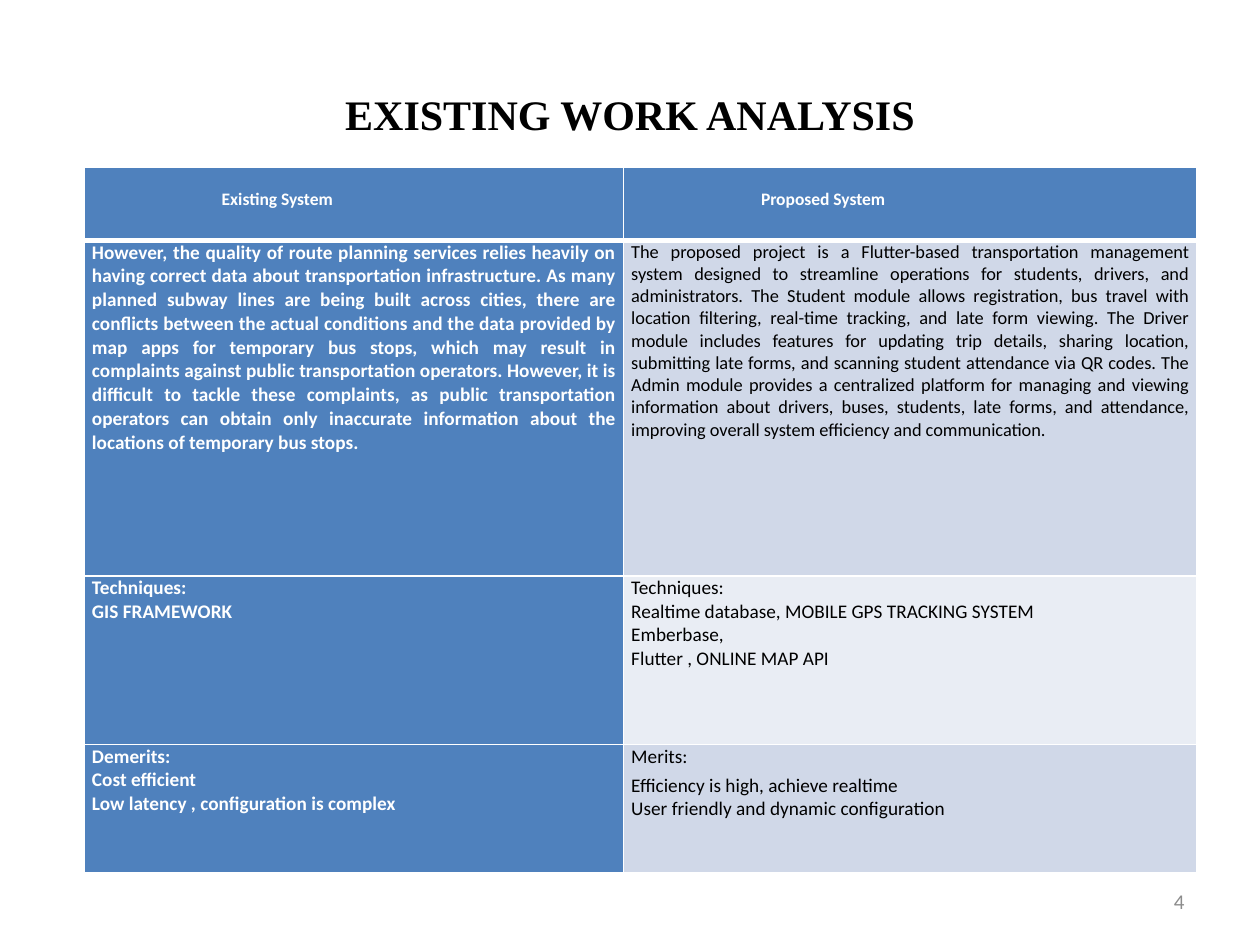
from lxml import etree
from pptx import Presentation
from pptx.dml.color import RGBColor
from pptx.enum.text import MSO_ANCHOR, PP_ALIGN
from pptx.oxml.ns import qn
from pptx.util import Inches, Pt

CENTER, JUSTIFY, LEFT, RIGHT = PP_ALIGN.CENTER, PP_ALIGN.JUSTIFY, PP_ALIGN.LEFT, PP_ALIGN.RIGHT
MIDDLE = MSO_ANCHOR.MIDDLE
BLUE, WHITE, BLACK, GRAY = "4F81BD", "FFFFFF", "000000", "8C8C8C"
BANDS = ["D0D8E8", "E9EDF4"]

TITLE = "EXISTING WORK ANALYSIS"
PAGE = "4"
ROWS = [
    (["Existing System"], ["Proposed System"]),
    (["However, the quality of route planning services relies heavily on having correct data about "
      "transportation infrastructure. As many planned subway lines are being built across cities, there "
      "are conflicts between the actual conditions and the data provided by map apps for temporary bus "
      "stops, which may result in complaints against public transportation operators. However, it is "
      "difficult to tackle these complaints, as public transportation operators can obtain only "
      "inaccurate information about the locations of temporary bus stops."],
     ["The proposed project is a Flutter-based transportation management system designed to streamline "
      "operations for students, drivers, and administrators. The Student module allows registration, bus "
      "travel with location filtering, real-time tracking, and late form viewing. The Driver module "
      "includes features for updating trip details, sharing location, submitting late forms, and scanning "
      "student attendance via QR codes. The Admin module provides a centralized platform for managing and "
      "viewing information about drivers, buses, students, late forms, and attendance, improving overall "
      "system efficiency and communication."]),
    (["Techniques:", "GIS FRAMEWORK"],
     ["Techniques:", "Realtime database, MOBILE GPS TRACKING SYSTEM", "Emberbase,",
      "Flutter , ONLINE MAP API"]),
    (["Demerits:", "Cost efficient", "Low latency , configuration is complex"],
     ["Merits:", "Efficiency is high, achieve realtime", "User friendly and dynamic configuration"]),
]
COL_WIDTHS = [4.28, 4.55]
ROW_HEIGHTS = [0.58, 2.66, 1.34, 1.02]
HEADER_INDENT, HEADER_DROP = 1.03, 0.17


def rgb(value):
    return RGBColor.from_string(value)


def write(tf, lines, size, color, bold=False, align=LEFT, font="Calibri"):
    tf.text = "\n".join(lines)
    for p in tf.paragraphs:
        p.alignment = align
        for r in p.runs:
            r.font.name, r.font.size, r.font.bold = font, Pt(size), bold
            r.font.color.rgb = rgb(color)


def add_borders(cell, top, bottom):
    tc_pr = cell._tc.get_or_add_tcPr()
    for tag, width in (("a:lnL", 1), ("a:lnR", 1), ("a:lnT", top), ("a:lnB", bottom)):
        line = etree.SubElement(tc_pr, qn(tag), w=str(Pt(width)))
        fill = etree.SubElement(line, qn("a:solidFill"))
        etree.SubElement(fill, qn("a:srgbClr"), val=WHITE)


def fill_cell(cell, row, col, lines):
    header = row == 0
    solid = header or col == 0
    cell.margin_left = Inches(0.06 + HEADER_INDENT * header)
    cell.margin_right = Inches(0.06)
    cell.margin_top = Inches(HEADER_DROP * header)
    cell.margin_bottom = 0
    add_borders(cell, 3 if row == 1 else 1, 3 if header else 1)
    cell.fill.solid()
    cell.fill.fore_color.rgb = rgb(BLUE if solid else BANDS[(row - 1) % 2])
    size = 10 if header else 10.5 if (row, col) == (1, 1) else 11
    write(cell.text_frame, lines, size, WHITE if solid else BLACK, solid,
          LEFT if header else JUSTIFY)


def main():
    prs = Presentation()
    prs.slide_width, prs.slide_height = Inches(10), Inches(7.5)
    s = prs.slides.add_slide(prs.slide_layouts[5])

    title = s.shapes.title
    title.left, title.top, title.width, title.height = map(Inches, (0.5, 0.3, 9, 1.2))
    title.text_frame.vertical_anchor = MIDDLE
    write(title.text_frame, [TITLE], 24, BLACK, True, CENTER, "Times New Roman")

    table = s.shapes.add_table(len(ROWS), len(COL_WIDTHS), Inches(0.67), Inches(1.33),
                               Inches(sum(COL_WIDTHS)), Inches(sum(ROW_HEIGHTS))).table
    table.first_row = table.horz_banding = False
    for column, width in zip(table.columns, COL_WIDTHS):
        column.width = Inches(width)
    for i, (cells, height) in enumerate(zip(ROWS, ROW_HEIGHTS)):
        table.rows[i].height = Inches(height)
        for j, lines in enumerate(cells):
            fill_cell(table.cell(i, j), i, j, lines)
    table.cell(3, 1).text_frame.paragraphs[0].space_after = Pt(3)

    number = s.shapes.add_textbox(*map(Inches, (7.17, 6.95, 2.33, 0.4)))
    number.text_frame.word_wrap = True
    number.text_frame.vertical_anchor = MIDDLE
    write(number.text_frame, [PAGE], 12, GRAY, align=RIGHT)
    prs.save("out.pptx")


if __name__ == "__main__":
    main()
